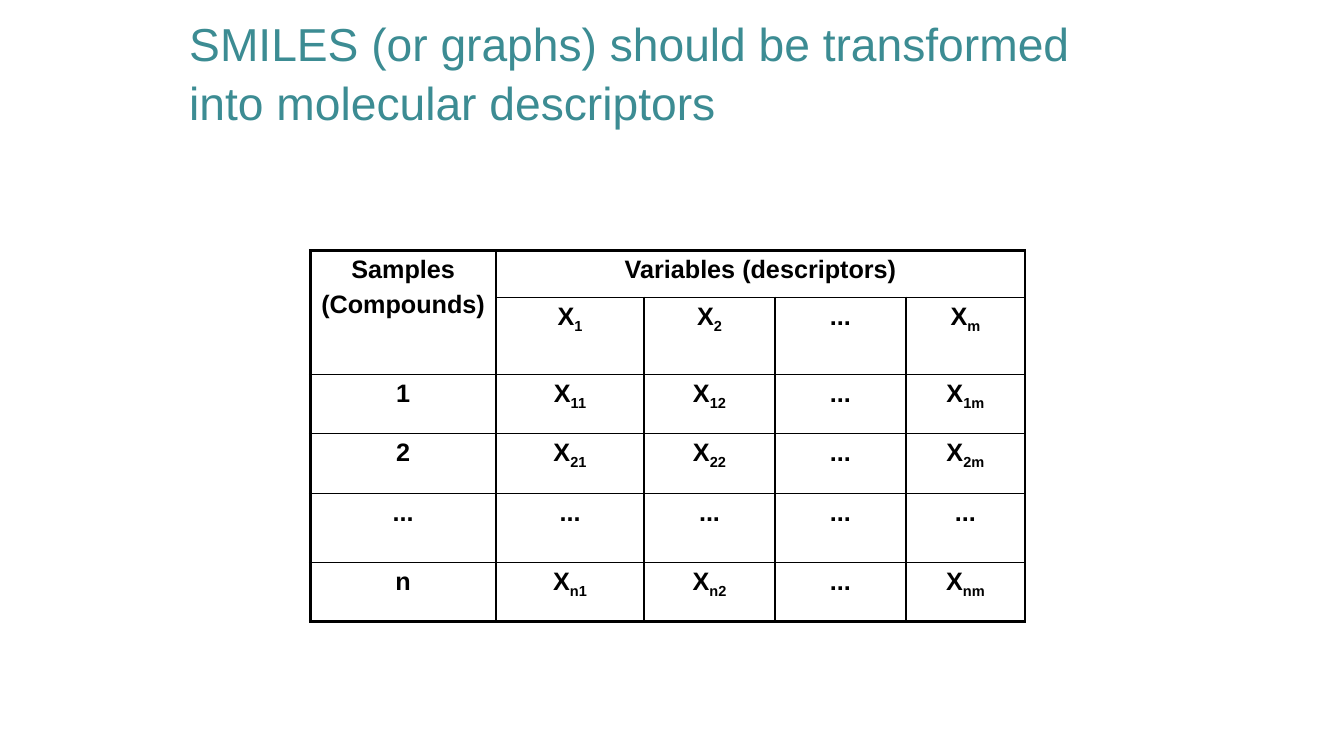
"""Build a slide on turning SMILES into a table of molecular descriptors."""
from dataclasses import dataclass

from lxml.etree import SubElement
from pptx import Presentation
from pptx.dml.color import RGBColor
from pptx.enum.text import MSO_ANCHOR, PP_ALIGN
from pptx.oxml.ns import qn
from pptx.util import Cm, Pt

FONT = "Arial"
TEAL = "3C8C93"
BLACK = "000000"
THIN, THICK = 1, 2.25
WIDTHS = (4.68, 3.73, 3.3, 3.3, 3.0)
HEIGHTS = (1.17, 1.85, 1.5, 1.5, 1.74, 1.5)


@dataclass(frozen=True)
class Item:
    row: int
    col: int
    text: str
    down: int = 1
    across: int = 1


def hue(code: str) -> RGBColor:
    return RGBColor.from_string(code)


def write(frame, text: str, *, size: float, color: str, bold: bool = False,
          align=PP_ALIGN.LEFT, line: float = 1, gap: float = 0) -> None:
    for i, part in enumerate(text.split("\n")):
        para = frame.add_paragraph() if i else frame.paragraphs[0]
        para.alignment = align
        para.line_spacing = line
        para.space_before = Pt(gap if i else 0)
        for j, bit in enumerate(part.split("_")):
            run = para.add_run()
            run.text = bit
            run.font.name = FONT
            run.font.size = Pt(size)
            run.font.bold = bold
            run.font.color.rgb = hue(color)
            if j:
                run.font._element.set("baseline", "-25000")


def edge(cell, side: str, width: float) -> None:
    line = SubElement(cell._tc.get_or_add_tcPr(), qn(f"a:ln{side}"),
                      w=str(Pt(width)), cap="flat", cmpd="sng")
    fill = SubElement(line, qn("a:solidFill"))
    SubElement(fill, qn("a:srgbClr"), val=BLACK)
    SubElement(line, qn("a:prstDash"), val="solid")


def frame_cell(cell, row: int, col: int) -> None:
    last_row = row + (cell.span_height if cell.is_merge_origin else 1)
    last_col = col + (cell.span_width if cell.is_merge_origin else 1)
    outer = {"L": col == 0, "R": last_col == len(WIDTHS),
             "T": row == 0, "B": last_row == len(HEIGHTS)}
    for side, thick in outer.items():
        edge(cell, side, THICK if thick else THIN)
    cell.fill.background()


def items() -> list[Item]:
    head = [Item(0, 0, "Samples\n(Compounds)", down=2),
            Item(0, 1, "Variables (descriptors)", across=4)]
    marks = ("1", "2", "...", "m")
    for row, name in enumerate(("", "1", "2", "...", "n"), 1):
        if name:
            head.append(Item(row, 0, name))
        for col, mark in enumerate(marks, 1):
            dots = "..." in (name, mark)
            head.append(Item(row, col, "..." if dots else f"X_{name}{mark}"))
    return head


def draw_table(slide) -> None:
    shape = slide.shapes.add_table(len(HEIGHTS), len(WIDTHS), Cm(7.82), Cm(6.32),
                                   Cm(sum(WIDTHS)), Cm(sum(HEIGHTS)))
    table = shape.table
    table.first_row = table.horz_banding = False
    for col, width in zip(table.columns, WIDTHS):
        col.width = Cm(width)
    for row, height in zip(table.rows, HEIGHTS):
        row.height = Cm(height)
    for item in items():
        cell = table.cell(item.row, item.col)
        if item.down * item.across > 1:
            cell.merge(table.cell(item.row + item.down - 1,
                                  item.col + item.across - 1))
        write(cell.text_frame, item.text, size=18, color=BLACK, bold=True,
              align=PP_ALIGN.CENTER, gap=4.5)
    for row in range(len(HEIGHTS)):
        for col in range(len(WIDTHS)):
            frame_cell(table.cell(row, col), row, col)


def draw_title(slide) -> None:
    box = slide.shapes.add_textbox(Cm(4.52), Cm(0.2), Cm(22.86), Cm(3.18))
    frame = box.text_frame
    frame.word_wrap = True
    frame.vertical_anchor = MSO_ANCHOR.MIDDLE
    write(frame, "SMILES (or graphs) should be transformed into molecular descriptors",
          size=33, color=TEAL, line=1.05)


def main() -> None:
    deck = Presentation()
    deck.slide_width, deck.slide_height = Cm(33.87), Cm(19.05)
    slide = deck.slides.add_slide(deck.slide_layouts[6])
    draw_title(slide)
    draw_table(slide)
    deck.save("out.pptx")


if __name__ == "__main__":
    main()
